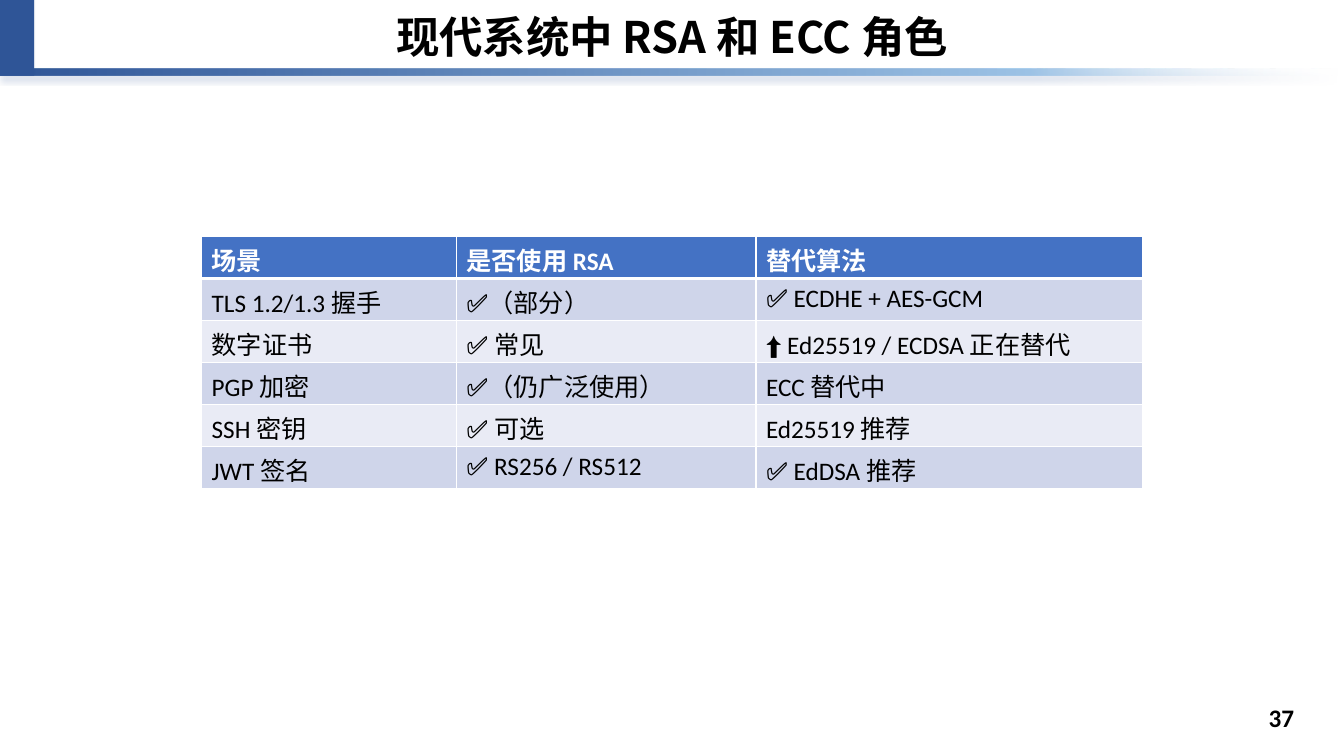
"""Build the slide on the roles of RSA and ECC in modern systems."""
from dataclasses import dataclass

from lxml import etree
from pptx import Presentation
from pptx.dml.color import RGBColor as RGB
from pptx.enum.shapes import MSO_SHAPE as Preset
from pptx.enum.text import MSO_ANCHOR as Anchor, PP_ALIGN as Align
from pptx.oxml.ns import qn
from pptx.slide import Slide
from pptx.table import _Cell as Cell
from pptx.util import Pt

COLORS = {
    "navy": "2F5597", "sky": "9DC3E6", "white": "FFFFFF", "black": "000000",
    "header": "4472C4", "band_dark": "CFD5EA", "band_light": "E9EBF5",
}
LATIN, HAN = "Calibri", "Noto Sans CJK SC"


@dataclass(frozen=True)
class Bar:
    left: float
    top: float
    width: float
    height: float
    stops: tuple[tuple[int, str, int], ...]
    shadow_alpha: int
    shadow_blur: float
    shadow_distance: float
    shadow_angle: int


@dataclass(frozen=True)
class Label:
    text: str
    left: float
    top: float
    width: float
    height: float
    size: float
    font: str


BARS = (
    Bar(0, 49, 955.5, 5, ((0, "navy", 100), (77, "sky", 100), (100, "white", 0)), 26, 4, 3, 90),
    Bar(0, 0, 24.5, 54, ((0, "navy", 100),), 40, 2, 2, 225),
)
LABELS = (
    Label("现代系统中 RSA 和 ECC 角色", 164, 7, 632, 42, 31, HAN),
    Label("37", 898, 501, 34.5, 25, 18, LATIN),
)
COLUMN_WIDTHS = (182, 214, 276)
ROW_HEIGHT = 30
ROWS = (
    ("场景", "是否使用 RSA", "替代算法"),
    ("TLS 1.2/1.3 握手", "✅（部分）", "✅ ECDHE + AES-GCM"),
    ("数字证书", "✅ 常见", "⬆️ Ed25519 / ECDSA 正在替代"),
    ("PGP 加密", "✅（仍广泛使用）", "ECC 替代中"),
    ("SSH 密钥", "✅ 可选", "Ed25519 推荐"),
    ("JWT 签名", "✅ RS256 / RS512", "✅ EdDSA 推荐"),
)


def add_color(parent: etree._Element, color: str, alpha: int = 100) -> None:
    """Append a colour with its opacity in percent."""
    entry = etree.SubElement(parent, qn("a:srgbClr"), val=COLORS[color])
    if alpha < 100:
        etree.SubElement(entry, qn("a:alpha"), val=str(alpha * 1000))


def add_bar(slide: Slide, bar: Bar) -> None:
    """Draw a header bar with its fill and soft shadow."""
    strip = slide.shapes.add_shape(
        Preset.RECTANGLE, Pt(bar.left), Pt(bar.top), Pt(bar.width), Pt(bar.height))
    strip.line.fill.background()
    if len(bar.stops) == 1:
        strip.fill.solid()
        strip.fill.fore_color.rgb = RGB.from_string(COLORS[bar.stops[0][1]])
    else:
        strip.fill.gradient()
        strip.fill.gradient_angle = 0
        stop_list = strip._element.spPr.find(f".//{qn('a:gsLst')}")
        for preset_stop in list(stop_list):
            stop_list.remove(preset_stop)
        for position, color, alpha in bar.stops:
            stop = etree.SubElement(stop_list, qn("a:gs"), pos=str(position * 1000))
            add_color(stop, color, alpha)
    strip.shadow.inherit = False
    effects = strip._element.spPr.find(qn("a:effectLst"))
    shadow = etree.SubElement(
        effects, qn("a:outerShdw"), blurRad=str(Pt(bar.shadow_blur)),
        dist=str(Pt(bar.shadow_distance)), dir=str(bar.shadow_angle * 60000),
        algn="ctr", rotWithShape="0")
    add_color(shadow, "navy", bar.shadow_alpha)


def add_words(paragraph, text: str, size: float, font: str, color: str, bold: bool) -> None:
    """Add one run with its Latin and Han fonts."""
    words = paragraph.add_run()
    words.text = text
    words.font.size, words.font.bold, words.font.name = Pt(size), bold, font
    words.font.color.rgb = RGB.from_string(COLORS[color])
    etree.SubElement(words._r.get_or_add_rPr(), qn("a:ea"), typeface=HAN)


def add_label(slide: Slide, label: Label) -> None:
    """Place a centred bold line of text."""
    frame = slide.shapes.add_textbox(
        Pt(label.left), Pt(label.top), Pt(label.width), Pt(label.height)).text_frame
    frame.word_wrap = True
    frame.vertical_anchor = Anchor.MIDDLE
    frame.margin_left = frame.margin_right = frame.margin_top = frame.margin_bottom = 0
    line = frame.paragraphs[0]
    line.alignment, line.line_spacing = Align.CENTER, 0.9
    add_words(line, label.text, label.size, label.font, "black", True)


def style_cell(cell: Cell, fill: str, top: float, bottom: float) -> None:
    """Give a cell white borders and a solid fill."""
    properties = cell._tc.get_or_add_tcPr()
    for side, width in (("L", 1), ("R", 1), ("T", top), ("B", bottom)):
        border = etree.SubElement(properties, qn(f"a:ln{side}"), w=str(Pt(width)))
        add_color(etree.SubElement(border, qn("a:solidFill")), "white")
    cell.fill.solid()
    cell.fill.fore_color.rgb = RGB.from_string(COLORS[fill])


def add_usage_table(slide: Slide) -> None:
    """Tabulate where RSA is used and what replaces it."""
    usage = slide.shapes.add_table(
        len(ROWS), len(COLUMN_WIDTHS), Pt(144), Pt(169),
        Pt(sum(COLUMN_WIDTHS)), Pt(ROW_HEIGHT * len(ROWS))).table
    for column, width in zip(usage.columns, COLUMN_WIDTHS):
        column.width = Pt(width)
    for row_index, entries in enumerate(ROWS):
        usage.rows[row_index].height = Pt(ROW_HEIGHT)
        is_header = row_index == 0
        band = "band_dark" if row_index % 2 else "band_light"
        for column_index, entry in enumerate(entries):
            cell = usage.cell(row_index, column_index)
            style_cell(cell, "header" if is_header else band,
                       3 if row_index == 1 else 1, 3 if is_header else 1)
            add_words(cell.text_frame.paragraphs[0], entry, 18, LATIN,
                      "white" if is_header else "black", is_header)


def main() -> None:
    """Assemble and save the slide."""
    deck = Presentation()
    deck.slide_width, deck.slide_height = Pt(960), Pt(540)
    slide = deck.slides.add_slide(deck.slide_layouts[6])
    for bar in BARS:
        add_bar(slide, bar)
    for label in LABELS:
        add_label(slide, label)
    add_usage_table(slide)
    deck.save("out.pptx")


if __name__ == "__main__":
    main()
